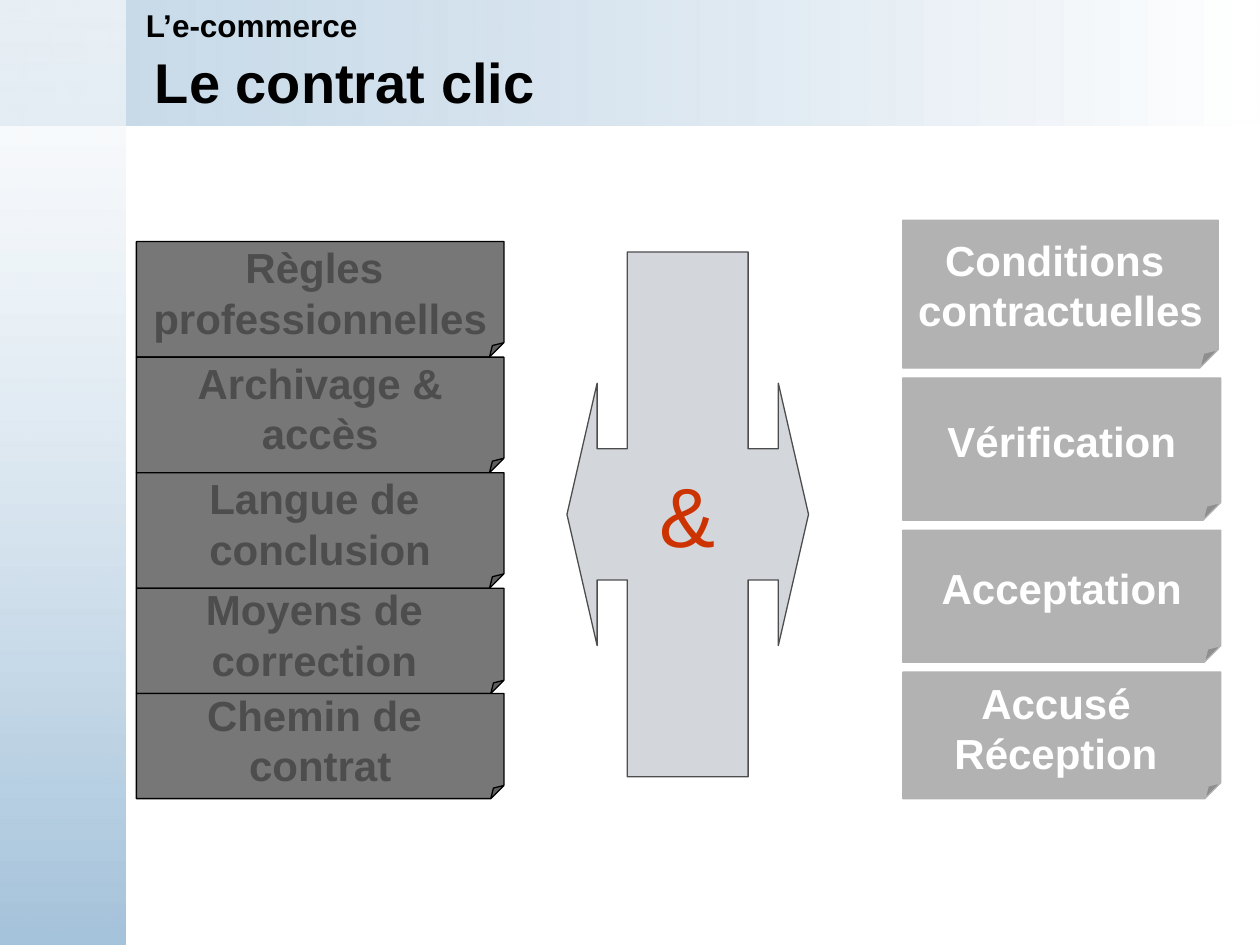
import pptx
import pptx.dml.color
import pptx.enum.shapes
import pptx.enum.text
import pptx.oxml.ns
import pptx.util
from lxml import etree
from pptx.util import Cm

SHAPES = pptx.enum.shapes.MSO_SHAPE
ALIGN = pptx.enum.text.PP_ALIGN
BLUE = "A5C3DB"
WHITE = "FFFFFF"


def color(hex_string):
    """Turn a hex string into a colour."""
    return pptx.dml.color.RGBColor.from_string(hex_string)


def write(shape, text, size=24, ink="000000", bold=True, align=ALIGN.CENTER, wrap=False):
    """Write one paragraph per line of text into a shape, centred vertically."""
    frame = shape.text_frame
    frame.text = text
    frame.word_wrap = wrap
    frame.auto_size = pptx.enum.text.MSO_AUTO_SIZE.NONE
    frame.vertical_anchor = pptx.enum.text.MSO_ANCHOR.MIDDLE
    for paragraph in frame.paragraphs:
        paragraph.alignment = align
        for run in paragraph.runs:
            run.font.name = "Arial"
            run.font.size = pptx.util.Pt(size)
            run.font.bold = bold
            run.font.color.rgb = color(ink)


def set_guides(shape, guides):
    """Set the named adjustment guides of a preset shape."""
    guide_list = shape._element.find(".//" + pptx.oxml.ns.qn("a:avLst"))
    for guide in list(guide_list):
        guide_list.remove(guide)
    for name, value in guides.items():
        guide = etree.SubElement(guide_list, pptx.oxml.ns.qn("a:gd"))
        guide.set("name", name)
        guide.set("fmla", f"val {round(value * 100000)}")


def add_shape(slide, kind, box, fill=None, line=None, guides=None):
    """Add a flat preset shape in a box of left, top, width, height in cm."""
    shape = slide.shapes.add_shape(kind, *map(Cm, box))
    shape.shadow.inherit = False
    if guides:
        set_guides(shape, guides)
    if fill:
        shape.fill.solid()
        shape.fill.fore_color.rgb = color(fill)
    if line:
        shape.line.color.rgb = color(line)
        shape.line.width = pptx.util.Pt(0.75)
    else:
        shape.line.fill.background()
    return shape


def add_band(slide, box, start, end, opacity, angle):
    """Add a gradient band whose first colour is partly transparent."""
    band = add_shape(slide, SHAPES.RECTANGLE, box)
    band.fill.gradient()
    band.fill.gradient_angle = angle
    stops = band.fill.gradient_stops
    for stop, position, hex_string in zip(stops, (0, 1), (start, end)):
        stop.position = position
        stop.color.rgb = color(hex_string)
    first = band._element.find(".//" + pptx.oxml.ns.qn("a:srgbClr"))
    alpha = etree.SubElement(first, pptx.oxml.ns.qn("a:alpha"))
    alpha.set("val", str(opacity * 1000))


def add_header(slide, box):
    """Place the chapter name and the title in the header box."""
    left, top, width, height = box
    title = slide.shapes.title
    slide.shapes._spTree.append(title._element)
    title.left, title.top = Cm(left + 0.18), Cm(top + 0.91)
    title.width, title.height = Cm(width - 0.18), Cm(1.45)
    write(title, "Le contrat clic", size=32, align=ALIGN.LEFT, wrap=True)
    chapter = slide.shapes.add_textbox(Cm(left), Cm(top), Cm(width), Cm(1.02))
    write(chapter, "L’e-commerce", size=18, align=ALIGN.LEFT, wrap=True)


def add_notes_column(slide, box, notes, gap, fill, line, ink):
    """Stack folded notes of (text, height, width cut) down from the top of a box."""
    left, top, width = box
    for text, height, cut in notes:
        note = add_shape(slide, SHAPES.FOLDED_CORNER, (left, top, width - cut, height),
                         fill, line, {"adj": 0.125})
        write(note, text, ink=ink)
        top += height + gap


def add_link(slide, box):
    """Place the double arrow that joins the two columns."""
    guides = {"adj1": 0.543, "adj2": 0.543, "adj3": 0.125, "adj4": 0.5}
    arrow = add_shape(slide, SHAPES.LEFT_RIGHT_ARROW_CALLOUT, box, "D3D7DB", "4D4D4D", guides)
    write(arrow, "&", size=48, ink="CC3300", bold=False)


def main():
    """Build the slide and save it."""
    presentation = pptx.Presentation()
    presentation.slide_width, presentation.slide_height = Cm(25.4), Cm(19.05)
    slide = presentation.slides.add_slide(presentation.slide_layouts[5])
    add_band(slide, (0, 0, 25.4, 2.54), BLUE, WHITE, 62, 0)
    add_band(slide, (0, 0, 2.54, 19.05), WHITE, BLUE, 59, 270)
    add_header(slide, (2.69, 0, 22.71, 2.54))
    duties = [
        ("Règles \nprofessionnelles", 2.33, 0),
        ("Archivage &\naccès", 2.33, 0),
        ("Langue de \nconclusion", 2.33, 0),
        ("Moyens de \ncorrection ", 2.12, 0),
        ("Chemin de \ncontrat", 2.12, 0),
    ]
    steps = [
        ("Conditions \ncontractuelles", 2.98, 0.05),
        ("Vérification", 2.87, 0),
        ("Acceptation", 2.66, 0),
        ("Accusé \nRéception ", 2.55, 0),
    ]
    add_notes_column(slide, (2.75, 4.87, 7.41), duties, 0, "777777", "000000", "4D4D4D")
    add_notes_column(slide, (18.2, 4.44, 6.41), steps, 0.2, "B2B2B2", "B2B2B2", WHITE)
    add_link(slide, (11.43, 5.08, 4.87, 10.58))
    presentation.save("out.pptx")


main()
